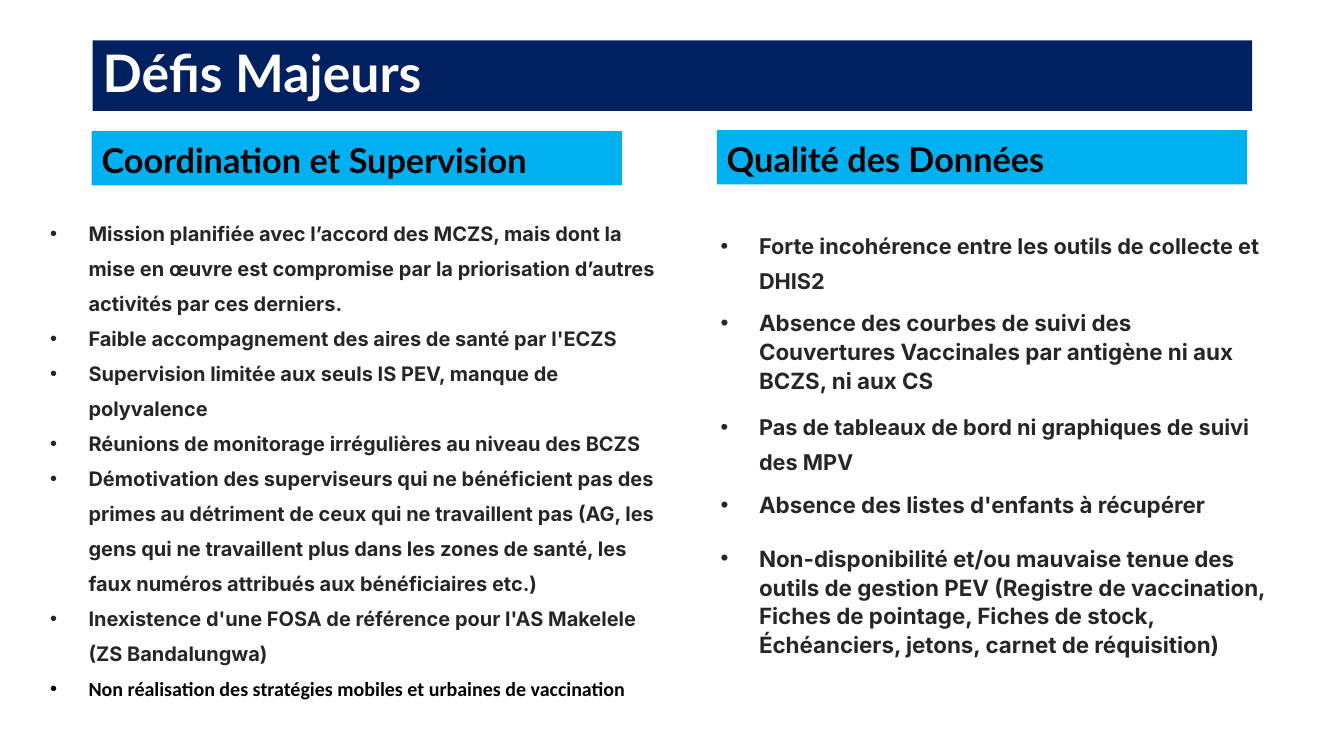
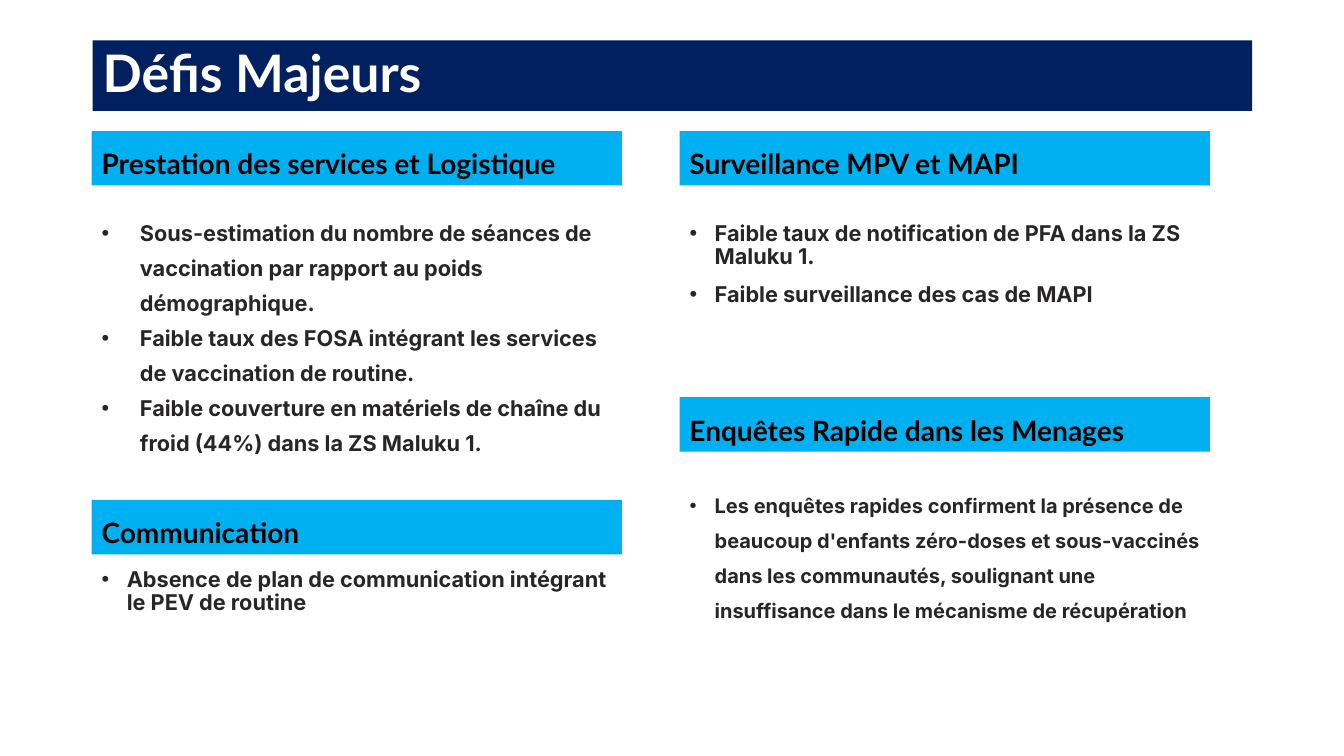
from dataclasses import dataclass, replace

from lxml import etree
from pptx import Presentation
from pptx.dml.color import RGBColor
from pptx.enum.shapes import MSO_SHAPE as Shape
from pptx.enum.text import MSO_ANCHOR as Anchor, PP_ALIGN as Align
from pptx.oxml.ns import qn
from pptx.util import Inches, Pt

NAVY, SKY = "002060", "00B0F0"
WHITE, BLACK, INK = "FFFFFF", "000000", "272525"
HEADING_FONT, BODY_FONT = "Lato", "Inter"


def rgb(value):
    return RGBColor.from_string(value)


@dataclass(frozen=True)
class PointStyle:
    size: float
    spacing: object = Pt(25)
    before: float = 0
    after: float = 0
    font: str = BODY_FONT
    color: str = INK


SMALL = PointStyle(14.3)
SMALL_BLACK = replace(SMALL, font="Calibri", color=BLACK)
LOOSE = PointStyle(15.5)
TIGHT = PointStyle(15.5, spacing=0.9, before=10)
SPACED = PointStyle(16, spacing=1.07, before=10, after=8)


class Deck:
    def __init__(self):
        self.presentation = Presentation()
        self.presentation.slide_width = Inches(13.33)
        self.presentation.slide_height = Inches(7.5)
        self.slide = None

    def add_slide(self, title):
        blank = self.presentation.slide_layouts[6]
        self.slide = self.presentation.slides.add_slide(blank)
        self.band(title, 0.92, 0.4, 11.5, 0.7, NAVY, WHITE, 36.9, 0.9, Anchor.MIDDLE)

    def band(self, text, left, top, width, height, fill, color, size, spacing, anchor):
        """Filled rectangle holding one line of heading text."""
        band = self.slide.shapes.add_shape(
            Shape.RECTANGLE, Inches(left), Inches(top), Inches(width), Inches(height))
        band.shadow.inherit = False
        band.fill.solid()
        band.fill.fore_color.rgb = rgb(fill)
        band.line.fill.background()
        frame = band.text_frame
        frame.word_wrap = True
        frame.vertical_anchor = anchor
        frame.text = text
        heading = frame.paragraphs[0]
        heading.alignment = Align.LEFT
        heading.line_spacing = spacing
        self.style_run(heading.runs[0], HEADING_FONT, size, color)

    def section(self, text, left, top, size=20):
        self.band(text, left, top, 5.26, 0.54, SKY, BLACK, size, Pt(30.5), Anchor.BOTTOM)

    def bullets(self, points, left, top, width, height, indent=0.38):
        """Bulleted list from (text, PointStyle) pairs."""
        box = self.slide.shapes.add_textbox(
            Inches(left), Inches(top), Inches(width), Inches(height))
        frame = box.text_frame
        frame.word_wrap = True
        for index, (text, style) in enumerate(points):
            point = frame.add_paragraph() if index else frame.paragraphs[0]
            point.text = text
            self.add_bullet(point, Inches(indent))
            point.line_spacing = style.spacing
            point.space_before = Pt(style.before if index else 0)
            point.space_after = Pt(style.after)
            self.style_run(point.runs[0], style.font, style.size, style.color)

    @staticmethod
    def add_bullet(paragraph, indent):
        properties = paragraph._p.get_or_add_pPr()
        properties.set("marL", str(indent))
        properties.set("indent", str(-indent))
        etree.SubElement(properties, qn("a:buFont"), typeface="Arial")
        etree.SubElement(properties, qn("a:buChar"), char="•")

    @staticmethod
    def style_run(run, font, size, color):
        run.font.name = font
        run.font.size = Pt(size)
        run.font.bold = True
        run.font.color.rgb = rgb(color)


def coordination_and_data(deck):
    deck.add_slide("Défis Majeurs")
    deck.section("Coordination et Supervision", 0.91, 1.3, 24.5)
    deck.bullets([
        ("Mission planifiée avec l’accord des MCZS, mais dont la mise en œuvre est "
         "compromise par la priorisation d’autres activités par ces derniers.", SMALL),
        ("Faible accompagnement des aires de santé par l'ECZS", SMALL),
        ("Supervision limitée aux seuls IS PEV, manque de polyvalence", SMALL),
        ("Réunions de monitorage irrégulières au niveau des BCZS", SMALL),
        ("Démotivation des superviseurs qui ne bénéficient pas des primes au détriment "
         "de ceux qui ne travaillent pas (AG, les gens qui ne travaillent plus dans les "
         "zones de santé, les faux numéros attribués aux bénéficiaires etc.)", SMALL),
        ("Inexistence d'une FOSA de référence pour l'AS Makelele (ZS Bandalungwa)", SMALL),
        ("Non réalisation des stratégies mobiles et urbaines de vaccination", SMALL_BLACK),
    ], 0.4, 2.04, 6.34, 5.06)

    deck.section("Qualité des Données", 7.11, 1.29, 24.5)
    deck.bullets([
        ("Forte incohérence entre les outils de collecte et DHIS2", LOOSE),
        ("Absence des courbes de suivi des Couvertures Vaccinales par antigène "
         "ni aux BCZS, ni aux CS", SPACED),
        ("Pas de tableaux de bord ni graphiques de suivi des MPV", LOOSE),
        ("Absence des listes d'enfants à récupérer", SPACED),
        ("Non-disponibilité et/ou mauvaise tenue des outils de gestion PEV (Registre de "
         "vaccination, Fiches de pointage, Fiches de stock, Échéanciers, jetons, carnet "
         "de réquisition)", SPACED),
    ], 7.05, 2.17, 5.65, 4.65)


def services_and_surveillance(deck):
    left, right = 0.91, 6.74
    deck.add_slide("Défis Majeurs")
    deck.section("Prestation des services et Logistique", left, 1.3)
    deck.bullets([
        ("Sous-estimation du nombre de séances de vaccination par rapport au poids "
         "démographique.", LOOSE),
        ("Faible taux des FOSA intégrant les services de vaccination de routine.", LOOSE),
        ("Faible couverture en matériels de chaîne du froid (44%) dans la ZS Maluku 1.",
         LOOSE),
    ], left, 2.04, 5.26, 2.79)

    deck.section("Surveillance MPV et MAPI", right, 1.3)
    deck.bullets([
        ("Faible taux de notification de PFA dans la ZS Maluku 1.", TIGHT),
        ("Faible surveillance des cas de MAPI", TIGHT),
    ], right, 2.16, 5.39, 1.4, indent=0.25)

    deck.section("Enquêtes Rapide dans les Menages", right, 3.94)
    deck.bullets([
        ("Les enquêtes rapides confirment la présence de beaucoup d'enfants zéro-doses et "
         "sous-vaccinés dans les communautés, soulignant une insuffisance dans le "
         "mécanisme de récupération", SMALL),
    ], right, 4.74, 5.39, 1.73, indent=0.25)

    deck.section("Communication", left, 4.96)
    deck.bullets([
        ("Absence de plan de communication intégrant le PEV de routine", TIGHT),
    ], left, 5.59, 5.26, 1.13, indent=0.25)


def main():
    deck = Deck()
    coordination_and_data(deck)
    services_and_surveillance(deck)
    deck.presentation.save("out.pptx")


if __name__ == "__main__":
    main()
